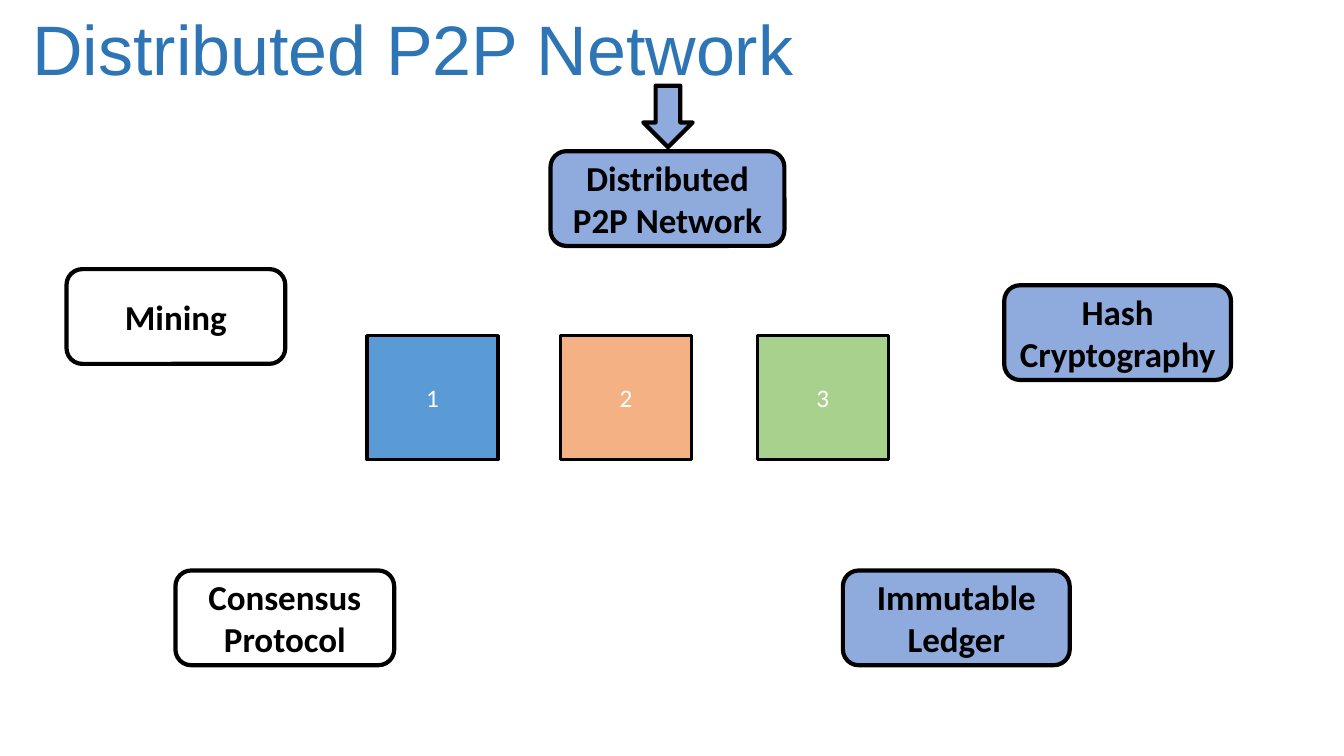
from pptx import Presentation
from pptx.dml.color import RGBColor
from pptx.enum.shapes import MSO_SHAPE as Shape
from pptx.enum.text import MSO_ANCHOR as Anchor, MSO_AUTO_SIZE as AutoSize, PP_ALIGN as Align
from pptx.util import Emu, Pt

PX = 9144
COLORS = {
    "title": "2E75B6",
    "black": "000000",
    "white": "FFFFFF",
    "covered": "8FAADC",
    "blue": "5B9BD5",
    "orange": "F4B183",
    "green": "A9D18E",
}
TITLE_FONT = {"name": "Arial", "size": Pt(50), "bold": False}
BLOCK_FONT = {"name": "Calibri", "size": Pt(18), "bold": False}
TOPIC_FONT = {"name": "Calibri", "size": Pt(25), "bold": True}
BLOCKS = [("1", 364, "blue"), ("2", 556, "orange"), ("3", 751, "green")]
TOPICS = [
    ("Immutable Ledger", (836, 566, 225, 94), "covered"),
    ("Distributed P2P Network", (546, 150, 232, 94), "covered"),
    ("Consensus Protocol", (174, 566, 217, 94), "white"),
    ("Mining", (66, 267, 217, 94), "white"),
    ("Hash Cryptography", (996, 283, 225, 94), "covered"),
]


def px(value):
    """Turn whole pixels into EMU."""
    return Emu(value * PX)


def rgb(name):
    """Look up a named colour."""
    return RGBColor.from_string(COLORS[name])


def write(box, text, font, color, align, anchor):
    """Put one formatted paragraph into a shape."""
    frame = box.text_frame
    frame.word_wrap = True
    frame.auto_size = AutoSize.NONE
    frame.vertical_anchor = anchor
    para = frame.paragraphs[0]
    para.alignment = align
    span = para.add_run()
    span.text = text
    for key, value in font.items():
        setattr(span.font, key, value)
    span.font.color.rgb = rgb(color)


def add_title(page, text, bounds):
    """Place and format the title placeholder."""
    title = page.shapes.title
    for key, value in zip(("left", "top", "width", "height"), bounds):
        setattr(title, key, px(value))
    write(title, text, TITLE_FONT, "title", Align.LEFT, Anchor.TOP)


def add_outlined(page, kind, bounds, fill, weight):
    """Add a filled shape with a black outline."""
    box = page.shapes.add_shape(kind, *map(px, bounds))
    box.shadow.inherit = False
    box.fill.solid()
    box.fill.fore_color.rgb = rgb(fill)
    box.line.color.rgb = rgb("black")
    box.line.width = Pt(weight)
    return box


def add_block(page, label, left, fill):
    """Add one numbered block of the chain."""
    box = add_outlined(page, Shape.RECTANGLE, (left, 333, 130, 123), fill, 2.25)
    write(box, label, BLOCK_FONT, "white", Align.CENTER, Anchor.MIDDLE)


def add_topic(page, label, bounds, fill):
    """Add one rounded topic box."""
    box = add_outlined(page, Shape.ROUNDED_RECTANGLE, bounds, fill, 3)
    box.text_frame.margin_left = box.text_frame.margin_right = px(8)
    write(box, label, TOPIC_FONT, "black", Align.CENTER, Anchor.MIDDLE)


def main():
    """Build the slide and save it."""
    deck = Presentation()
    deck.slide_width, deck.slide_height = px(1333), px(750)
    page = deck.slides.add_slide(deck.slide_layouts[5])
    add_title(page, "Distributed P2P Network", (22, 0, 1136, 94))
    for block in BLOCKS:
        add_block(page, *block)
    for topic in TOPICS:
        add_topic(page, *topic)
    add_outlined(page, Shape.DOWN_ARROW, (638, 85, 49, 61), "covered", 3)
    deck.save("out.pptx")


if __name__ == "__main__":
    main()
